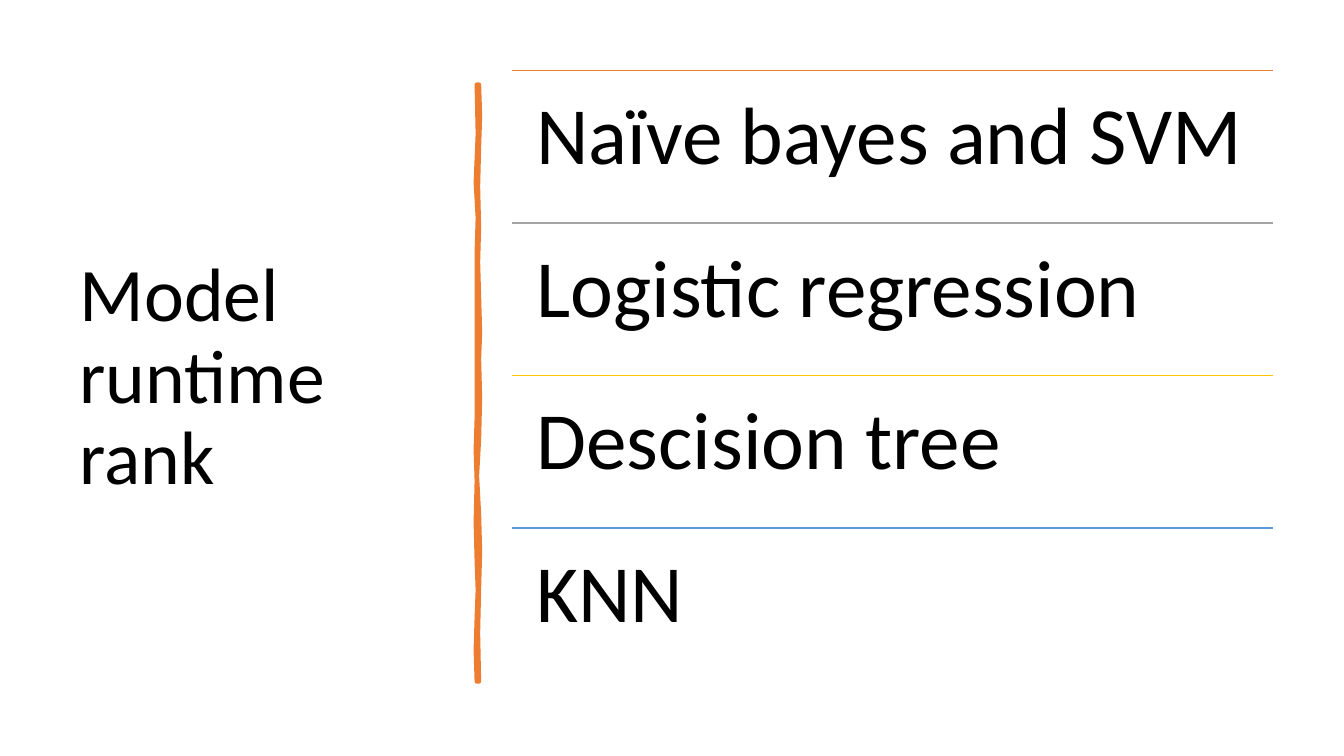
"""Builds the model runtime rank slide."""
from lxml import etree
from pptx import Presentation
from pptx.dml.color import RGBColor
from pptx.enum.shapes import MSO_CONNECTOR
from pptx.enum.text import MSO_ANCHOR, MSO_AUTO_SIZE, PP_ALIGN
from pptx.oxml.ns import qn
from pptx.util import Inches, Pt

STRAIGHT = MSO_CONNECTOR.STRAIGHT
TOP, MIDDLE = MSO_ANCHOR.TOP, MSO_ANCHOR.MIDDLE
LEFT = PP_ALIGN.LEFT
NO_FIT = MSO_AUTO_SIZE.NONE

COLORS = {"text": "000000", "orange": "ED7D31", "gray": "A5A5A5",
          "gold": "FFC000", "blue": "5B9BD5"}
FONT = "Calibri"
RANKS = [("Naïve bayes and SVM", "orange"), ("Logistic regression", "gray"),
         ("Descision tree", "gold"), ("KNN", "blue")]
ROW_LEFT, ROW_TOP, ROW_WIDTH, ROW_HEIGHT = 5.08, 0.7, 7.55, 1.513
BAR_RIGHT = [(4.75, 0.84), (4.76, 1.15), (4.75, 1.46), (4.74, 1.85),
             (4.75, 2.26), (4.74, 2.6), (4.75, 2.94), (4.76, 3.3),
             (4.75, 3.56), (4.76, 3.95), (4.75, 4.36), (4.73, 4.72),
             (4.75, 5.1), (4.76, 5.47), (4.75, 5.84), (4.74, 6.28),
             (4.75, 6.76)]
BAR_LEFT = [(4.73, 6.76), (4.72, 6.45), (4.73, 6.13), (4.74, 5.85),
            (4.73, 5.57), (4.72, 5.18), (4.73, 4.77), (4.72, 4.46),
            (4.73, 4.15), (4.73, 3.76), (4.73, 3.35), (4.73, 2.91),
            (4.73, 2.5), (4.74, 2.16), (4.72, 1.81), (4.74, 1.33),
            (4.73, 0.84)]


def rgb(name):
    """Return the named colour."""
    return RGBColor.from_string(COLORS[name])


def write_text(shape, text, size, anchor, inset_x, inset_y):
    """Write one left-aligned paragraph into a shape."""
    tf = shape.text_frame
    frame = {"word_wrap": True, "auto_size": NO_FIT, "vertical_anchor": anchor,
             "margin_left": Inches(inset_x), "margin_right": Inches(inset_x),
             "margin_top": Inches(inset_y), "margin_bottom": Inches(inset_y)}
    for key, value in frame.items():
        setattr(tf, key, value)
    p = tf.paragraphs[0]
    p.alignment, p.line_spacing = LEFT, 0.9
    r = p.add_run()
    r.text = text
    for key, value in {"name": FONT, "size": Pt(size)}.items():
        setattr(r.font, key, value)
    r.font.color.rgb = rgb("text")


def add_title(s, text):
    """Place the slide title in the left column."""
    title = s.shapes.title
    box = {"left": 0.69, "top": 0.7, "width": 3.74, "height": 6.11}
    for key, value in box.items():
        setattr(title, key, Inches(value))
    write_text(title, text, 54, MIDDLE, 0.1, 0.05)


def add_brush_bar(s, color):
    """Draw the wavy vertical bar between the columns."""
    points = [(Inches(x), Inches(y)) for x, y in BAR_RIGHT + BAR_LEFT]
    builder = s.shapes.build_freeform(*points[0], scale=1.0)
    builder.add_line_segments(points[1:], close=True)
    bar = builder.convert_to_shape()
    bar.shadow.inherit = False
    bar.fill.solid()
    bar.fill.fore_color.rgb = rgb(color)
    bar.line.color.rgb = rgb(color)
    bar.line.width = Pt(3.25)
    etree.SubElement(bar.element.spPr.find(qn("a:ln")), qn("a:round"))


def add_rule(s, y, color):
    """Draw the thin line above a row."""
    rule = s.shapes.add_connector(STRAIGHT, Inches(ROW_LEFT), Inches(y),
                                  Inches(ROW_LEFT + ROW_WIDTH), Inches(y))
    rule.line.color.rgb = rgb(color)
    rule.line.width = Pt(1)
    etree.SubElement(rule.element.spPr, qn("a:effectLst"))


def add_row(s, y, text, color):
    """Add one ranked model with its line."""
    add_rule(s, y, color)
    box = s.shapes.add_textbox(Inches(ROW_LEFT), Inches(y),
                               Inches(ROW_WIDTH), Inches(ROW_HEIGHT))
    write_text(box, text, 58, TOP, 0.24, 0.24)


def main():
    """Build and save the slide."""
    prs = Presentation()
    prs.slide_width, prs.slide_height = Inches(13.33), Inches(7.5)
    s = prs.slides.add_slide(prs.slide_layouts[5])
    add_title(s, "Model runtime rank")
    add_brush_bar(s, "orange")
    for i, (text, color) in enumerate(RANKS):
        add_row(s, ROW_TOP + i * ROW_HEIGHT, text, color)
    prs.save("out.pptx")


if __name__ == "__main__":
    main()
